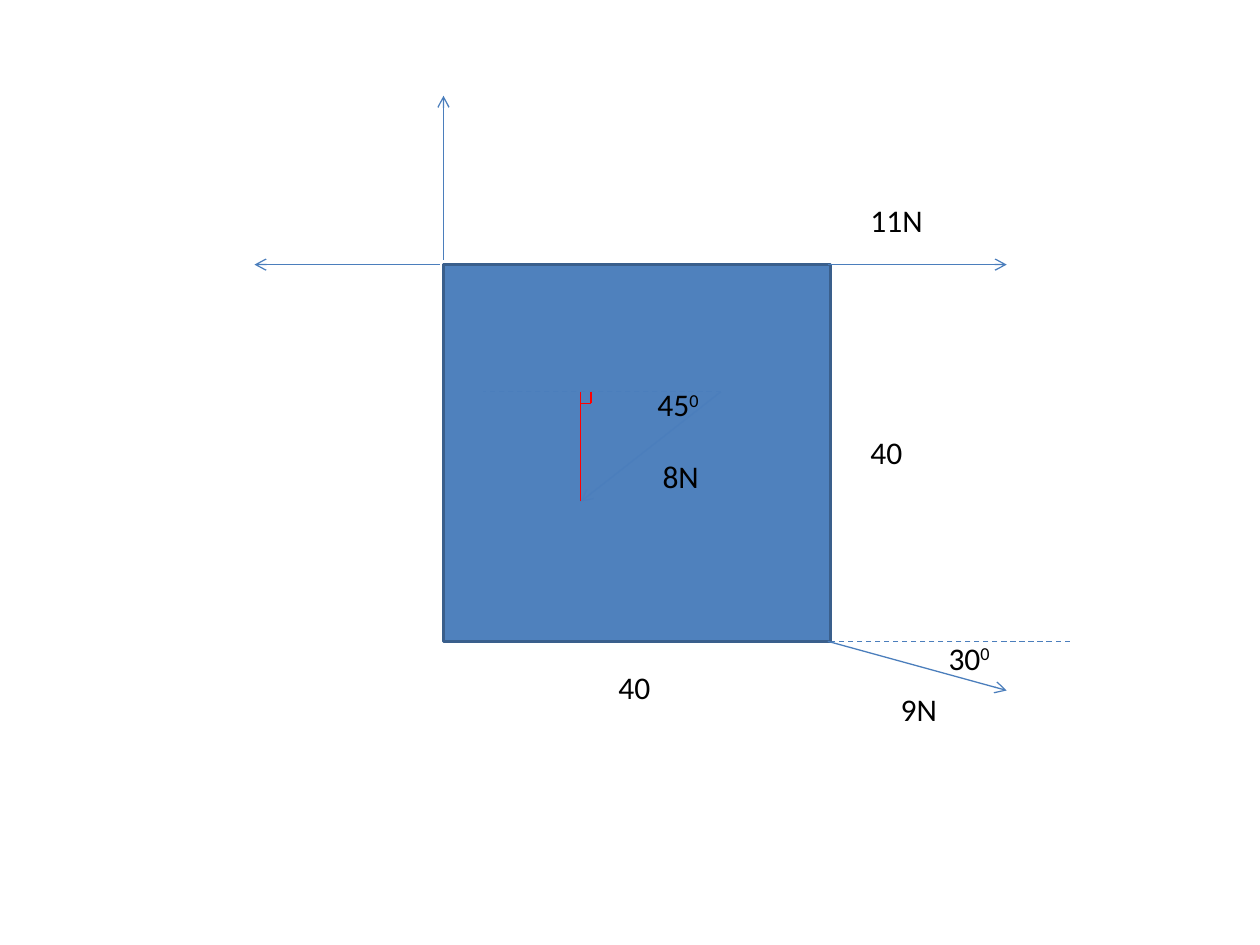
from lxml.etree import SubElement
from pptx import Presentation
from pptx.dml.color import RGBColor
from pptx.enum.dml import MSO_LINE_DASH_STYLE as Dash
from pptx.enum.shapes import MSO_CONNECTOR as Connector, MSO_SHAPE as Shape
from pptx.enum.text import MSO_AUTO_SIZE as AutoSize
from pptx.oxml.ns import qn
from pptx.util import Inches, Pt


def color(hex_value):
    return RGBColor.from_string(hex_value)


def apply(target, formats):
    for name, value in formats.items():
        setattr(target, name, value)


class ForceDiagram:
    FILL = "4F81BD"
    OUTLINE = "3A5F8C"
    FORCE = "4B7EBC"
    MARK = "FF0000"
    LABEL_FONT = {"name": "Calibri", "size": Pt(18)}
    LABEL_FRAME = {"word_wrap": False, "auto_size": AutoSize.SHAPE_TO_FIT_TEXT}

    def __init__(self, slide):
        self.slide = slide

    def plate(self, left, top, width, height):
        plate = self.slide.shapes.add_shape(
            Shape.RECTANGLE, *map(Inches, (left, top, width, height)))
        plate.shadow.inherit = False
        plate.fill.solid()
        plate.fill.fore_color.rgb = color(self.FILL)
        plate.line.color.rgb = color(self.OUTLINE)
        plate.line.width = Pt(2)

    def line(self, start, end, hue=FORCE, dash=None):
        line = self.slide.shapes.add_connector(
            Connector.STRAIGHT, *map(Inches, (*start, *end)))
        line.line.color.rgb = color(hue)
        apply(line.line, {"width": Pt(0.75), "dash_style": dash})
        SubElement(line._element.spPr, qn("a:effectLst"))
        return line

    def force(self, start, end):
        arrow = self.line(start, end)
        SubElement(arrow.line._get_or_add_ln(), qn("a:tailEnd"), type="arrow")

    def label(self, left, top, width, text, superscript=""):
        box = self.slide.shapes.add_textbox(
            *map(Inches, (left, top, width, 0.4)))
        apply(box.text_frame, self.LABEL_FRAME)
        paragraph = box.text_frame.paragraphs[0]
        for part, baseline in ((text, 0), (superscript, 30000)):
            if part:
                run = paragraph.add_run()
                run.text = part
                apply(run.font, self.LABEL_FONT)
                run.font.color.rgb = color("000000")
                if baseline:
                    run._r.get_or_add_rPr().set("baseline", str(baseline))


def main():
    deck = Presentation()
    apply(deck, {"slide_width": Inches(10), "slide_height": Inches(7.5)})
    diagram = ForceDiagram(deck.slides.add_slide(deck.slide_layouts[6]))

    left, top, width, height = 3.52, 2.1, 3.07, 2.99
    bottom = top + height
    diagram.plate(left, top, width, height)
    diagram.label(4.81, 5.25, 0.46, "40")
    diagram.label(6.81, 3.39, 0.46, "40")

    apex, foot, inner = (5.72, 3.11), (4.61, 3.98), (4.61, 3.11)
    diagram.force(apex, foot)
    diagram.label(5.16, 3.58, 0.49, "8N")
    diagram.label(5.12, 3.01, 0.6, "45", "0")
    diagram.line(apex, (3.83, 3.11), dash=Dash.DASH)
    diagram.line(foot, inner, diagram.MARK)
    corner = (4.69, 3.2)
    diagram.line((4.69, 3.11), corner, diagram.MARK)
    diagram.line(corner, (4.61, 3.2), diagram.MARK)

    diagram.force((left, 2.06), (left, 0.76))
    diagram.force((3.49, top), (2.02, top))
    diagram.force((6.57, top), (7.99, top))
    diagram.label(6.81, 1.55, 0.62, "11N")

    diagram.force((6.57, bottom), (7.99, 5.48))
    diagram.label(7.05, 5.43, 0.49, "9N")
    diagram.line((8.49, bottom), (6.6, bottom), dash=Dash.DASH)
    diagram.label(7.43, 5.02, 0.6, "30", "0")

    deck.save("out.pptx")


if __name__ == "__main__":
    main()
